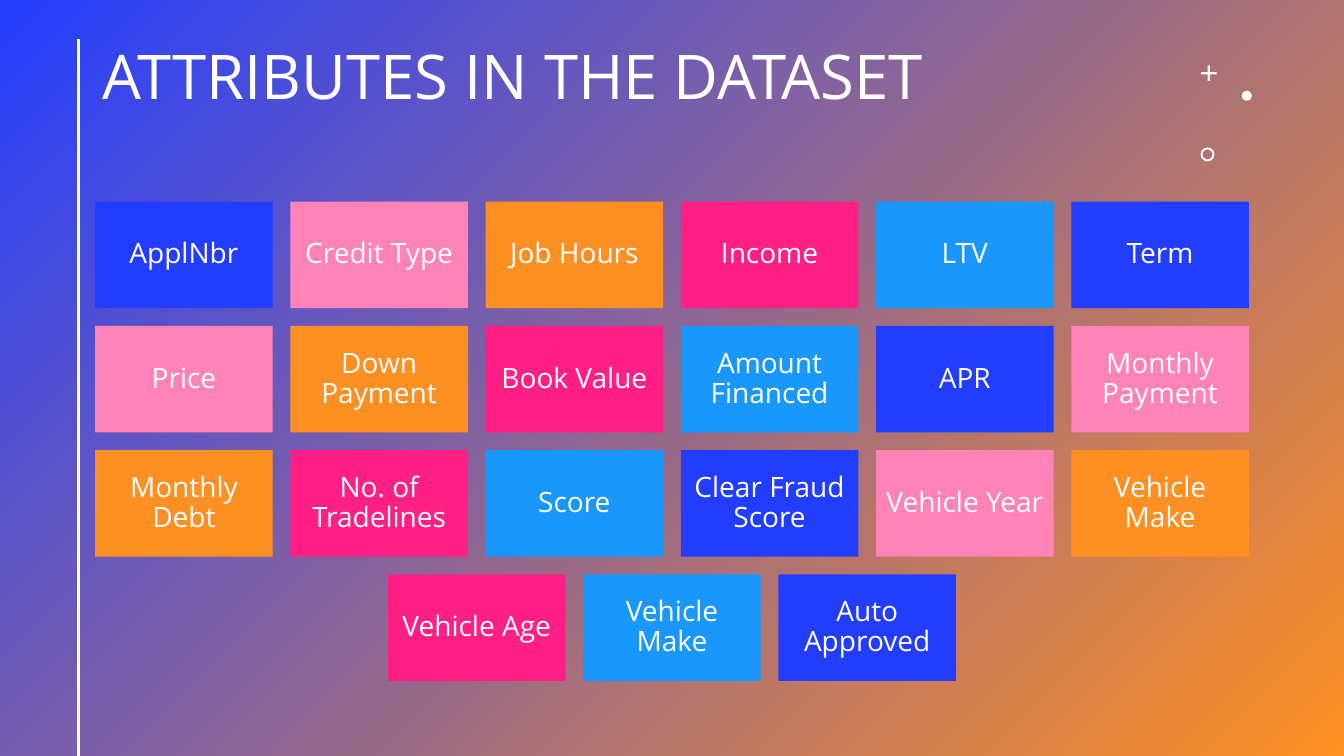
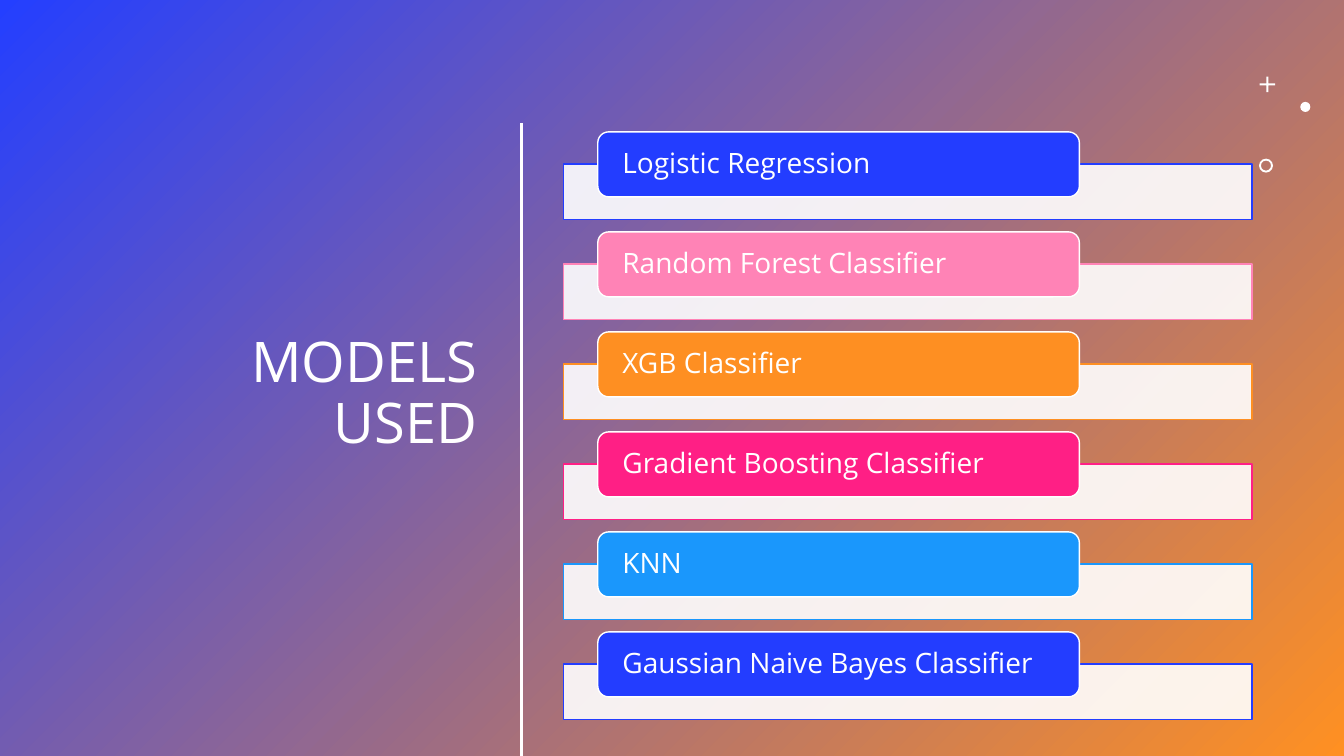
from itertools import cycle

from lxml.etree import SubElement
from pptx import Presentation
from pptx.dml.color import RGBColor
from pptx.enum.shapes import MSO_CONNECTOR, MSO_SHAPE
from pptx.enum.text import MSO_ANCHOR, PP_ALIGN
from pptx.oxml.ns import qn
from pptx.util import Pt

WIDTH, HEIGHT = 960, 540
WHITE = RGBColor(0xFF, 0xFF, 0xFF)
BLUE = RGBColor(0x23, 0x3D, 0xFF)
PINK = RGBColor(0xFF, 0x83, 0xB6)
ORANGE = RGBColor(0xFE, 0x8F, 0x22)
MAGENTA = RGBColor(0xFF, 0x1F, 0x85)
SKY = RGBColor(0x1A, 0x97, 0xFC)
PALETTE = (BLUE, PINK, ORANGE, MAGENTA, SKY)
GRADIENT = (RGBColor(0x24, 0x3F, 0xFF), RGBColor(0xFF, 0x90, 0x22))

TILE_ROWS = (
    ("ApplNbr", "Credit Type", "Job Hours", "Income", "LTV", "Term"),
    ("Price", "Down Payment", "Book Value", "Amount Financed", "APR", "Monthly Payment"),
    ("Monthly Debt", "No. of Tradelines", "Score", "Clear Fraud Score", "Vehicle Year",
     "Vehicle Make"),
    ("Vehicle Age", "Vehicle Make", "Auto Approved"),
)
MODELS = ("Logistic Regression", "Random Forest Classifier", "XGB Classifier",
          "Gradient Boosting Classifier", "KNN", "Gaussian Naive Bayes Classifier")


class Deck:
    FONT = {"name": "Open Sans", "size": Pt(20)}

    def __init__(self):
        self.prs = Presentation()
        self.prs.slide_width, self.prs.slide_height = Pt(WIDTH), Pt(HEIGHT)
        self.s = None

    def new_slide(self):
        self.s = self.prs.slides.add_slide(self.prs.slide_layouts[6])
        fill = self.shape(MSO_SHAPE.RECTANGLE, 0, 0, WIDTH, HEIGHT, WHITE).fill
        fill.gradient()
        fill.gradient_angle = 315
        for stop, color in zip(fill.gradient_stops, GRADIENT):
            stop.color.rgb = color

    def shape(self, kind, x, y, w, h, color, line=None, adj=None, alpha=None):
        """Add a filled preset shape; alpha is its opacity in percent."""
        sp = self.s.shapes.add_shape(kind, Pt(x), Pt(y), Pt(w), Pt(h))
        sp.shadow.inherit = False
        sp.fill.solid()
        sp.fill.fore_color.rgb = color
        if line is None:
            sp.line.fill.background()
        else:
            sp.line.color.rgb = line
            sp.line.width = Pt(1)
        if adj is not None:
            sp.adjustments[0] = adj
        if alpha is not None:
            clr = sp._element.spPr.find(qn("a:solidFill")).find(qn("a:srgbClr"))
            SubElement(clr, qn("a:alpha"), val=str(alpha * 1000))
        return sp

    def set_text(self, sp, text, align, inset_x, inset_y, **font):
        tf = sp.text_frame
        frame = {"word_wrap": True, "vertical_anchor": MSO_ANCHOR.MIDDLE,
                 "margin_left": Pt(inset_x), "margin_right": Pt(inset_x),
                 "margin_top": Pt(inset_y), "margin_bottom": Pt(inset_y)}
        for name, value in frame.items():
            setattr(tf, name, value)
        p = tf.paragraphs[0]
        p.alignment, p.line_spacing = align, 0.9
        r = p.add_run()
        r.text = text
        for name, value in {**self.FONT, **font}.items():
            setattr(r.font, name, value)
        r.font.color.rgb = WHITE

    def title(self, text, x, y, w, h, size, align=PP_ALIGN.LEFT):
        box = self.s.shapes.add_textbox(Pt(x), Pt(y), Pt(w), Pt(h))
        self.set_text(box, text, align, 7.2, 3.6, size=Pt(size))

    def rule(self, x, top):
        """Draw the vertical white line that runs to the foot of the slide."""
        line = self.s.shapes.add_connector(
            MSO_CONNECTOR.STRAIGHT, Pt(x), Pt(top), Pt(x), Pt(HEIGHT))
        line.line.color.rgb = WHITE
        line.line.width = Pt(2)
        SubElement(line._element.spPr, qn("a:effectLst"))

    def ornaments(self, x, y):
        self.shape(MSO_SHAPE.CROSS, x + 0.5, y, 11, 11, WHITE, adj=0.43)
        self.shape(MSO_SHAPE.OVAL, x + 29.5, y + 18, 7.2, 7.2, WHITE)
        self.shape(MSO_SHAPE.DONUT, x, y + 58.5, 10, 10, WHITE, adj=0.14)

    def tile(self, text, x, y, w, h, color):
        sp = self.shape(MSO_SHAPE.RECTANGLE, x, y, w, h, color)
        self.set_text(sp, text, PP_ALIGN.CENTER, 5.8, 5.8)

    def model(self, text, y, color):
        """Add a pale bar with a coloured label tab across its top edge."""
        self.shape(MSO_SHAPE.RECTANGLE, 402.4, y + 23, 491.8, 39.7, WHITE, color, alpha=90)
        tab = self.shape(MSO_SHAPE.ROUNDED_RECTANGLE, 427, y, 344, 46.4, color, WHITE, 0.167)
        self.set_text(tab, text, PP_ALIGN.LEFT, 15.3, 0)


def attributes_slide(deck):
    deck.new_slide()
    deck.title("ATTRIBUTES IN THE DATASET", 66.2, 27, 772, 60, 44)
    deck.rule(56, 28)
    deck.ornaments(857.5, 46.8)
    w, h, gap = 126.8, 76.1, 12.65
    colors = cycle(PALETTE)
    for i, row in enumerate(TILE_ROWS):
        left = (WIDTH - len(row) * (w + gap) + gap) / 2
        for j, text in enumerate(row):
            deck.tile(text, left + j * (w + gap), 144 + i * (h + gap), w, h, next(colors))


def models_slide(deck):
    deck.new_slide()
    deck.title("MODELS USED", 127.8, 222, 220, 120, 40, PP_ALIGN.RIGHT)
    deck.ornaments(899.3, 54.8)
    deck.rule(372.4, 88)
    for i, (text, color) in enumerate(zip(MODELS, cycle(PALETTE))):
        deck.model(text, 94.2 + i * 71.43, color)


def main():
    deck = Deck()
    attributes_slide(deck)
    models_slide(deck)
    deck.prs.save("out.pptx")


if __name__ == "__main__":
    main()
